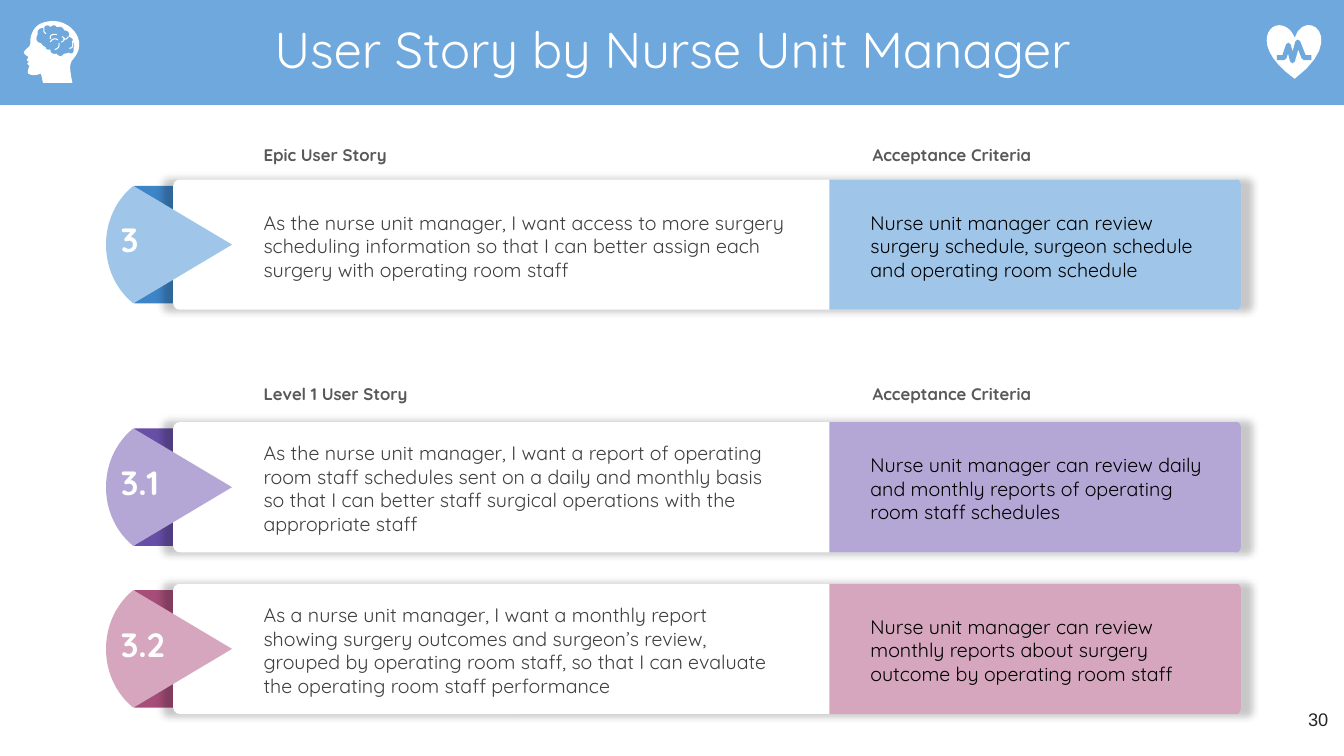
from lxml.etree import SubElement
from pptx import Presentation
from pptx.dml.color import RGBColor
from pptx.enum.shapes import MSO_SHAPE as Preset
from pptx.enum.text import MSO_ANCHOR as Anchor, MSO_AUTO_SIZE as AutoSize, PP_ALIGN as Align
from pptx.oxml.ns import qn
from pptx.util import Pt

HEADER_BLUE = "6FA8DC"
WHITE = "FFFFFF"
CARD_HEIGHT = 124
PANEL_LEFT, CARD_RIGHT = 790, 1182
CURVE_STEPS = 12

SECTIONS = [(133, "Epic User Story"), (361, "Level 1 User Story")]

STORIES = [
    (171, "3", "3D85C6", "9FC5E8",
     "As the nurse unit manager, I want access to more surgery scheduling information "
     "so that I can better assign each surgery with operating room staff",
     "Nurse unit manager can review surgery schedule, surgeon schedule and operating room schedule"),
    (402, "3.1", "674EA7", "B4A7D6",
     "As the nurse unit manager, I want a report of operating room staff schedules sent on a daily "
     "and monthly basis so that I can better staff surgical operations with the appropriate staff",
     "Nurse unit manager can review daily and monthly reports of operating room staff schedules"),
    (556, "3.2", "A64D79", "D5A6BD",
     "As a nurse unit manager, I want a monthly report showing surgery outcomes and surgeon’s review, "
     "grouped by operating room staff, so that I can evaluate the operating room staff performance",
     "Nurse unit manager can review monthly reports about surgery outcome by operating room staff"),
]

HEART = [(1218, 24), (1224, 24, 1230, 28, 1233, 36), (1243, 6, 1285, 36, 1233, 75),
         (1194, 47, 1206, 24, 1218, 24)]
PULSE = [(1216, 55), (1223, 55), (1227, 43), (1231, 58), (1236, 40), (1242, 55), (1249, 55)]
HEAD = [(52, 20), (69, 21, 84, 40, 70, 56), (66, 60, 66, 65, 69, 79), (41, 79), (39, 70),
        (35, 72, 29, 72, 27, 70), (26, 69, 27, 65, 28, 63), (28, 62, 26, 62, 26, 60), (28, 59),
        (26, 58), (25, 57, 27, 55, 27, 54), (25, 53, 24, 52, 23, 51), (22, 49, 25, 47, 28, 44),
        (30, 41, 28, 38, 30, 33), (33, 24, 40, 20, 52, 20)]
BRAIN = [(36, 33), (35, 28, 39, 26, 42, 27), (43, 23, 47, 24, 48, 26), (51, 23, 53, 24, 54, 26),
         (58, 25, 60, 26, 61, 29), (65, 29, 67, 32, 65, 35), (69, 36, 70, 38, 69, 39),
         (71, 42, 71, 44, 70, 45), (71, 50, 69, 52, 65, 50), (64, 51, 62, 51, 61, 51),
         (59, 54, 56, 54, 54, 51), (50, 52, 48, 50, 48, 47), (45, 48, 43, 46, 44, 45),
         (41, 44, 40, 42, 39, 41), (34, 40, 34, 36, 36, 33)]
BRAIN_FOLDS = [
    [(42, 27), (41, 30, 43, 32, 44, 32)],
    [(48, 37), (47, 33, 51, 32, 54, 33)],
    [(48, 40), (50, 36, 54, 37, 55, 38)],
    [(52, 47), (55, 47, 57, 44, 56, 41)],
    [(58, 40), (61, 40, 63, 36, 59, 35)],
    [(65, 35), (64, 37, 62, 38, 60, 37)],
    [(66, 46), (69, 46, 70, 44, 69, 39)],
]


def px(length):
    """Turn pixels into EMU."""
    return round(length * 9525)


def colour(code):
    """Turn a hex string into a colour."""
    return RGBColor.from_string(code)


def trace(steps):
    """List the points along a path of lines and cubic curves."""
    points = [steps[0]]
    for step in steps[1:]:
        if len(step) == 2:
            points.append(step)
            continue
        start, corners = points[-1], (step[:2], step[2:4], step[4:])
        for i in range(1, CURVE_STEPS + 1):
            t = i / CURVE_STEPS
            weights = ((1 - t) ** 3, 3 * t * (1 - t) ** 2, 3 * t * t * (1 - t), t ** 3)
            points.append(tuple(
                sum(w * p[axis] for w, p in zip(weights, (start, *corners))) for axis in (0, 1)))
    return points


class StorySlide:
    """Hold the style and the current slide."""

    font = "Quicksand"

    def __init__(self, deck):
        """Add a title-only slide to the deck."""
        self.slide = deck.slides.add_slide(deck.slide_layouts[5])
        self.shapes = self.slide.shapes

    def fill_frame(self, frame, text, size, ink, bold=False, align=Align.LEFT,
                   anchor=Anchor.MIDDLE, inset=(10, 5), font=None):
        """Fill a text frame with one formatted run."""
        frame.word_wrap = True
        frame.auto_size = AutoSize.NONE
        frame.vertical_anchor = anchor
        frame.margin_left = frame.margin_right = px(inset[0])
        frame.margin_top = frame.margin_bottom = px(inset[1])
        paragraph = frame.paragraphs[0]
        paragraph.alignment = align
        run = paragraph.add_run()
        run.text = text
        run.font.name = font or self.font
        run.font.size = Pt(size)
        run.font.bold = bold
        run.font.color.rgb = colour(ink)
        return paragraph

    def text(self, box, *content, **style):
        """Add a text box."""
        frame = self.shapes.add_textbox(*map(px, box)).text_frame
        self.fill_frame(frame, *content, **style)

    def block(self, box, fill, preset=Preset.RECTANGLE):
        """Add a filled preset shape without a line."""
        block = self.shapes.add_shape(preset, *map(px, box))
        block.fill.solid()
        block.fill.fore_color.rgb = colour(fill)
        block.line.fill.background()
        block.shadow.inherit = False
        return block

    def card(self, box):
        """Add a white rounded card with a soft shadow."""
        card = self.block(box, WHITE, Preset.ROUNDED_RECTANGLE)
        card.adjustments[0] = 0.05
        effects = card._element.spPr.find(qn("a:effectLst"))
        shadow = SubElement(effects, qn("a:outerShdw"), blurRad=str(Pt(5)), dist="0", dir="0",
                            sx="102000", sy="102000", algn="ctr", rotWithShape="0")
        tint = SubElement(shadow, qn("a:srgbClr"), val="000000")
        SubElement(tint, qn("a:alpha"), val="22000")

    def outline(self, steps, fill=None, stroke=None, width=1):
        """Add a filled outline or an open stroke."""
        points = [(px(x), px(y)) for x, y in trace(steps)]
        builder = self.shapes.build_freeform(*points[0])
        builder.add_line_segments(points[1:], close=fill is not None)
        outline = builder.convert_to_shape()
        outline.shadow.inherit = False
        if fill:
            outline.fill.solid()
            outline.fill.fore_color.rgb = colour(fill)
            outline.line.fill.background()
        else:
            outline.fill.background()
            outline.line.color.rgb = colour(stroke)
            outline.line.width = Pt(width)

    def title(self, box, text):
        """Place the title above what is already drawn."""
        title = self.shapes.title
        title.left, title.top, title.width, title.height = map(px, box)
        self.fill_frame(title.text_frame, text, 36, WHITE, align=Align.CENTER).line_spacing = 0.9
        self.shapes._spTree.append(title._element)

    def story(self, top, number, dark, light, wish, criteria):
        """Add one story card with its number and acceptance criteria."""
        bottom, middle = top + CARD_HEIGHT, top + CARD_HEIGHT // 2
        self.block((128, top + 6, 231, 112), dark)
        self.card((165, top, 1017, CARD_HEIGHT))
        self.outline([(221, middle), (127, bottom - 6), (111, middle + 43, 101, middle + 23, 101, middle),
                      (101, middle - 23, 111, middle - 43, 127, top + 6)], light)
        corner = CARD_RIGHT - 4
        self.outline([(PANEL_LEFT, top), (corner, top),
                      (corner + 2, top, CARD_RIGHT, top + 3, CARD_RIGHT, top + 6),
                      (CARD_RIGHT, bottom - 6),
                      (CARD_RIGHT, bottom - 3, corner + 2, bottom, corner, bottom),
                      (PANEL_LEFT, bottom)], light)
        self.text((241, top + 18, 519, 90), wish, 14, "3F3F3F")
        self.text((819, top + 18, 349, 90), criteria, 14, "000000")
        self.text((103, top + 23, 120, 68), number, 24, WHITE, bold=True, inset=(12, 5))


def main():
    """Build and save the slide."""
    deck = Presentation()
    deck.slide_width, deck.slide_height = px(1280), px(720)
    page = StorySlide(deck)
    for story in STORIES:
        page.story(*story)
    for top, level in SECTIONS:
        for left, heading in ((239, level), (819, "Acceptance Criteria")):
            page.text((left, top, 268, 29), heading, 12, "595959", bold=True, inset=(12, 5))
    page.block((0, 0, 1280, 100), HEADER_BLUE)
    page.title((33, 12, 1215, 76), "User Story by Nurse Unit Manager")
    page.outline(HEART, WHITE)
    page.outline(PULSE, stroke=HEADER_BLUE, width=3.5)
    page.outline(HEAD, WHITE)
    page.outline(BRAIN, HEADER_BLUE)
    for fold in BRAIN_FOLDS:
        page.outline(fold, stroke=WHITE, width=0.75)
    page.text((1198, 665, 77, 55), "30", 13, "262626", align=Align.RIGHT,
              anchor=Anchor.TOP, inset=(10, 10), font="Arial")
    deck.save("out.pptx")


if __name__ == "__main__":
    main()
